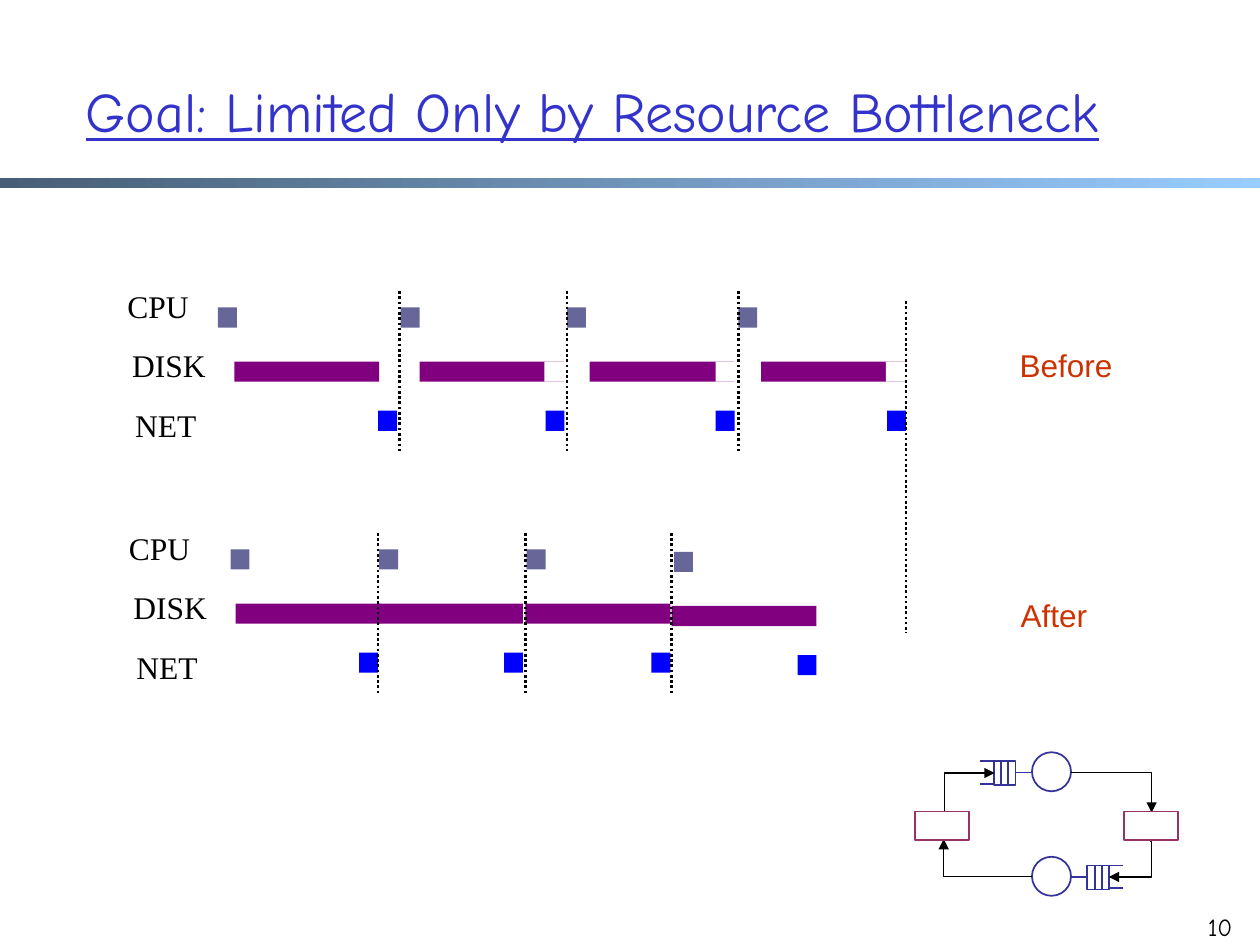
from lxml import etree
from pptx import Presentation
from pptx.dml.color import RGBColor
from pptx.enum import dml, shapes, text
from pptx.oxml.ns import qn
from pptx.util import Inches, Pt

BLACK = RGBColor(0x00, 0x00, 0x00)
WHITE = RGBColor(0xFF, 0xFF, 0xFF)
TITLE = RGBColor(0x33, 0x33, 0xCC)
SLATE = RGBColor(0x47, 0x5E, 0x76)
SKY = RGBColor(0x99, 0xCC, 0xFF)
CPU = RGBColor(0x66, 0x66, 0x99)
DISK = RGBColor(0x80, 0x00, 0x80)
NET = RGBColor(0x00, 0x00, 0xFF)
CAPTION = RGBColor(0xCC, 0x33, 0x00)
QUEUE = RGBColor(0x33, 0x33, 0x99)
STAGE = RGBColor(0x99, 0x33, 0x66)

RECT = shapes.MSO_SHAPE.RECTANGLE
OVAL = shapes.MSO_SHAPE.OVAL
STRAIGHT = shapes.MSO_CONNECTOR.STRAIGHT
ELBOW = shapes.MSO_CONNECTOR.ELBOW


def add_block(s, x, y, w, h, fill, line=None, kind=RECT):
    sp = s.shapes.add_shape(kind, Inches(x), Inches(y), Inches(w), Inches(h))
    sp.shadow.inherit = False
    sp.fill.solid()
    sp.fill.fore_color.rgb = fill
    if line is None:
        sp.line.fill.background()
    else:
        sp.line.color.rgb = line
        sp.line.width = Pt(1)
    return sp


def add_line(s, x1, y1, x2, y2, color, width, kind=STRAIGHT):
    c = s.shapes.add_connector(kind, Inches(x1), Inches(y1), Inches(x2), Inches(y2))
    c.line.color.rgb = color
    c.line.width = Pt(width)
    etree.SubElement(c._element.spPr, qn("a:effectLst"))
    return c


def add_elbow(s, x1, y1, x2, y2, bends=1, adj=None, turn=0):
    c = add_line(s, x1, y1, x2, y2, BLACK, 0.75, ELBOW)
    pr = c._element.spPr
    geom = pr.find(qn("a:prstGeom"))
    geom.set("prst", f"bentConnector{bends + 1}")
    if adj is not None:
        guide = etree.SubElement(geom.find(qn("a:avLst")), qn("a:gd"))
        guide.set("name", "adj1")
        guide.set("fmla", f"val {adj}")
    if turn:
        pr.find(qn("a:xfrm")).set("rot", str(turn * 60000))
    etree.SubElement(pr.find(qn("a:ln")), qn("a:tailEnd")).set("type", "triangle")


def add_divider(s, x, top, bottom):
    c = add_line(s, x, top, x, bottom, BLACK, 1.5)
    c.line.dash_style = dml.MSO_LINE.ROUND_DOT


def add_text(s, x, y, w, h, words, size, font, color,
             align=text.PP_ALIGN.CENTER, wrap=False):
    tf = s.shapes.add_textbox(Inches(x), Inches(y), Inches(w), Inches(h)).text_frame
    tf.word_wrap = wrap
    p = tf.paragraphs[0]
    p.text = words
    p.alignment = align
    p.font.size = Pt(size)
    p.font.name = font
    p.font.color.rgb = color


def add_header(s, x, y, w, h):
    bar = add_block(s, 0, 1.41, 10, 0.08, SLATE)
    bar.fill.gradient()
    bar.fill.gradient_angle = 0
    for stop, color in zip(bar.fill.gradient_stops, (SLATE, SKY)):
        stop.color.rgb = color
    title = s.shapes.title
    title.left, title.top = Inches(x), Inches(y)
    title.width, title.height = Inches(w), Inches(h)
    tf = title.text_frame
    tf.vertical_anchor = text.MSO_ANCHOR.MIDDLE
    p = tf.paragraphs[0]
    p.text = "Goal: Limited Only by Resource Bottleneck"
    p.alignment = text.PP_ALIGN.LEFT
    p.font.size = Pt(32)
    p.font.name = "Comic Neue"
    p.font.underline = True
    p.font.color.rgb = TITLE


def add_timeline(s, x, y, jobs):
    labels = (("CPU", 0, 0.69), ("DISK", 0.04, 0.78), ("NET", 0.06, 0.69))
    for row, (name, dx, w) in enumerate(labels):
        add_text(s, x + dx, y + row * 0.47, w, 0.4, name, 18, "Times New Roman", BLACK)
    for cpu, disk, net, idle, divider, drop in jobs:
        top = y + drop
        add_block(s, x + cpu, top + 0.21, 0.15, 0.16, CPU)
        add_block(s, x + disk, top + 0.64, 1.15, 0.16, DISK)
        if idle:
            add_block(s, x + idle, top + 0.64, 0.21, 0.16, WHITE)
        add_block(s, x + net, top + 1.03, 0.15, 0.16, NET)
    for *_, divider, drop in jobs:
        if divider:
            add_divider(s, x + divider, y + drop + 0.08, y + drop + 1.35)


def add_queue(s, center, y, side):
    for edge in (0.07, 0.25):
        add_line(s, center - side * 0.57, y + edge, center - side * 0.45, y + edge, QUEUE, 1)
    for slot in range(3):
        middle = center - side * (0.425 - slot * 0.055)
        add_block(s, middle - 0.03, y + 0.07, 0.06, 0.19, WHITE, QUEUE)
    add_line(s, center - side * 0.29, y + 0.16, center - side * 0.08, y + 0.16, QUEUE, 1)
    add_block(s, center - 0.155, y, 0.31, 0.31, WHITE, QUEUE, OVAL)


def add_circuit(s, x, y):
    add_queue(s, x + 1.085, y, 1)
    add_queue(s, x + 1.085, y + 0.83, -1)
    add_elbow(s, x + 1.24, y + 0.16, x + 1.88, y + 0.48)
    add_elbow(s, x + 1.87, y + 0.71, x + 1.54, y + 0.99, bends=2, adj=-2200)
    add_elbow(s, x + 0.93, y + 0.99, x + 0.23, y + 0.69)
    add_elbow(s, x + 0.28, y + 0.12, x + 0.59, y + 0.52, turn=270)
    for dx in (0, 1.66):
        add_block(s, x + dx, y + 0.47, 0.43, 0.23, WHITE, STAGE)


def main():
    prs = Presentation()
    prs.slide_width, prs.slide_height = Inches(10), Inches(7.5)
    s = prs.slides.add_slide(prs.slide_layouts[5])
    add_header(s, 0.58, 0.25, 9.13, 1.25)
    add_circuit(s, 7.26, 5.97)
    before = (
        (0.82, 0.95, 2.09, None, 2.26, 0),
        (2.27, 2.42, 3.42, 3.41, 3.59, 0),
        (3.59, 3.77, 4.77, 4.77, 4.95, 0),
        (4.95, 5.13, 6.13, 6.12, None, 0),
    )
    after = (
        (0.91, 0.95, 1.93, None, 2.08, 0),
        (2.09, 2.08, 3.08, None, 3.25, 0),
        (3.26, 3.25, 4.25, None, 4.41, 0.02),
        (4.43, 4.41, 5.41, None, None, 0.02),
    )
    after = after[:2] + (after[2][:5] + (0,),) + after[3:]
    add_timeline(s, 0.91, 2.23, before)
    add_timeline(s, 0.92, 4.15, after)
    add_divider(s, 7.19, 2.39, 5.02)
    add_text(s, 7.99, 2.7, 0.94, 0.4, "Before", 18, "Arial", CAPTION)
    add_text(s, 8, 4.68, 0.73, 0.4, "After", 18, "Arial", CAPTION)
    add_text(s, 9.38, 7.19, 0.5, 0.5, "10", 14, "Comic Neue", BLACK,
             text.PP_ALIGN.RIGHT, True)
    prs.save("out.pptx")


if __name__ == "__main__":
    main()
